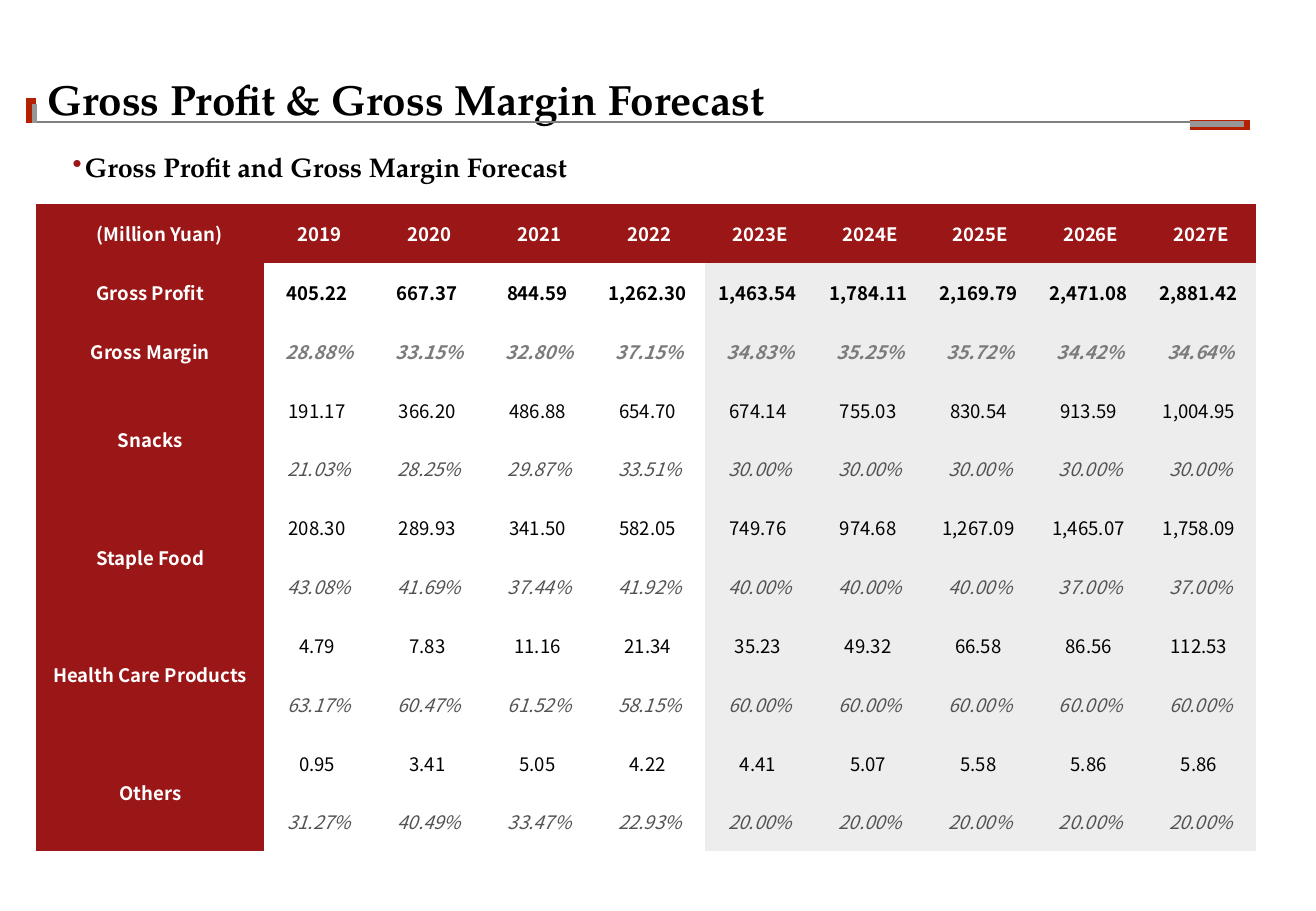
from lxml import etree
from pptx import Presentation
from pptx.dml.color import RGBColor
from pptx.enum.shapes import MSO_CONNECTOR
from pptx.enum.text import MSO_ANCHOR, MSO_AUTO_SIZE, PP_ALIGN
from pptx.oxml.ns import qn
from pptx.util import Inches, Pt

STRAIGHT = MSO_CONNECTOR.STRAIGHT
MIDDLE, TOP = MSO_ANCHOR.MIDDLE, MSO_ANCHOR.TOP
LEFT, CENTER = PP_ALIGN.LEFT, PP_ALIGN.CENTER
NO_AUTOFIT = MSO_AUTO_SIZE.NONE

COLORS = {
    "black": "000000", "white": "FFFFFF", "crimson": "9B1717",
    "accent": "B42100", "rule": "808080", "gray": "969696",
    "forecast": "EDEDED", "total margin": "7B7B7B", "margin": "525252",
}
SERIF, SANS = "TeX Gyre Pagella", "Noto Sans CJK SC"
NO_STYLE_NO_GRID = "{2D5ABB26-0587-4C30-8999-92F81FD0307C}"

YEARS = ["2019", "2020", "2021", "2022",
         "2023E", "2024E", "2025E", "2026E", "2027E"]
ACTUAL_YEARS = 4
TOTAL_PROFIT = [405.22, 667.37, 844.59, 1262.30, 1463.54,
                1784.11, 2169.79, 2471.08, 2881.42]
TOTAL_MARGIN = [28.88, 33.15, 32.80, 37.15, 34.83, 35.25, 35.72, 34.42, 34.64]
SEGMENTS = {
    "Snacks": (
        [191.17, 366.20, 486.88, 654.70, 674.14, 755.03, 830.54, 913.59, 1004.95],
        [21.03, 28.25, 29.87, 33.51, 30, 30, 30, 30, 30]),
    "Staple Food": (
        [208.30, 289.93, 341.50, 582.05, 749.76, 974.68, 1267.09, 1465.07, 1758.09],
        [43.08, 41.69, 37.44, 41.92, 40, 40, 40, 37, 37]),
    "Health Care Products": (
        [4.79, 7.83, 11.16, 21.34, 35.23, 49.32, 66.58, 86.56, 112.53],
        [63.17, 60.47, 61.52, 58.15, 60, 60, 60, 60, 60]),
    "Others": (
        [0.95, 3.41, 5.05, 4.22, 4.41, 5.07, 5.58, 5.86, 5.86],
        [31.27, 40.49, 33.47, 22.93, 20, 20, 20, 20, 20]),
}
AMOUNT, PERCENT = "{:,.2f} ", "{:.2f}%"

# Left, top, right, bottom in percent of the slide; then colour and points
HEADER_LINES = [
    (2.77, 13.37, 90.4, 13.37, "rule", 1),
    (2.38, 13.47, 2.38, 10.8, "accent", 6),
    (2.61, 13.47, 2.61, 11.47, "gray", 3),
    (90.4, 13.73, 95.01, 13.73, "accent", 5.5),
    (90.4, 13.6, 94.55, 13.6, "gray", 3.38),
]


class ForecastPage:
    """Draws on one slide; lengths are percentages of its width and height."""

    def __init__(self, deck):
        self.deck = deck
        self.page = deck.slides.add_slide(deck.slide_layouts[5])

    def across(self, share):
        return round(self.deck.slide_width * share / 100)

    def down(self, share):
        return round(self.deck.slide_height * share / 100)

    def area(self, left, top, width, height):
        return (self.across(left), self.down(top),
                self.across(width), self.down(height))

    def style(self, para, font, size, color, bold=True, italic=False, align=LEFT):
        para.alignment = align
        for span in para.runs:
            span.font.name, span.font.size = font, Pt(size)
            span.font.bold, span.font.italic = bold, italic
            span.font.color.rgb = RGBColor.from_string(COLORS[color])

    def line(self, left, top, right, bottom, color, points):
        line = self.page.shapes.add_connector(
            STRAIGHT, self.across(left), self.down(top),
            self.across(right), self.down(bottom))
        line.line.color.rgb = RGBColor.from_string(COLORS[color])
        line.line.width = Pt(points)
        etree.SubElement(line.element.spPr, qn("a:effectLst"))

    def title(self, text, *area):
        box = self.page.shapes.title
        box.left, box.top, box.width, box.height = self.area(*area)
        frame = box.text_frame
        frame.text = text
        frame.auto_size, frame.vertical_anchor = NO_AUTOFIT, MIDDLE
        frame.margin_left = frame.margin_right = 0
        frame.margin_top = frame.margin_bottom = 0
        self.style(frame.paragraphs[0], SERIF, 25, "black")

    def bullet(self, text, *area):
        frame = self.page.shapes.add_textbox(*self.area(*area)).text_frame
        frame.word_wrap, frame.vertical_anchor = True, TOP
        frame.text = text
        para = frame.paragraphs[0]
        para.level = 1
        properties = para._p.get_or_add_pPr()
        properties.set("marL", str(Inches(0.69)))
        properties.set("indent", str(Inches(-0.1)))
        color = etree.SubElement(properties, qn("a:buClr"))
        etree.SubElement(color, qn("a:srgbClr"), val=COLORS["crimson"])
        etree.SubElement(properties, qn("a:buChar"), char="•")
        self.style(para, SERIF, 16, "black")

    def table(self, rows, columns, label_width, *area):
        """Add an unstyled grid whose columns after the first are equal."""
        frame = self.page.shapes.add_table(rows, columns, *self.area(*area))
        for style_id in frame.element.iter(qn("a:tableStyleId")):
            style_id.text = NO_STYLE_NO_GRID
        table = frame.table
        table.first_row = table.horz_banding = False
        year_width = (area[2] - label_width) / (columns - 1)
        for index, column in enumerate(table.columns):
            column.width = self.across(year_width if index else label_width)
        return table

    def cell(self, cell, text, color, fill=None, bold=True, italic=False):
        cell.text = text
        cell.vertical_anchor = MIDDLE
        cell.margin_left = cell.margin_right = 0
        cell.margin_top = cell.margin_bottom = 0
        if fill:
            cell.fill.solid()
            cell.fill.fore_color.rgb = RGBColor.from_string(COLORS[fill])
        else:
            cell.fill.background()
        self.style(cell.text_frame.paragraphs[0], SANS, 11, color,
                   bold, italic, CENTER)

    def heading(self, cell, text):
        self.cell(cell, text, "white", "crimson")

    def values(self, table, row, numbers, pattern, color, bold=False):
        for index, number in enumerate(numbers):
            fill = "forecast" if index >= ACTUAL_YEARS else None
            self.cell(table.cell(row, index + 1), pattern.format(number),
                      color, fill, bold, italic=pattern == PERCENT)


def main():
    deck = Presentation()
    deck.slide_width, deck.slide_height = Inches(10.83), Inches(7.5)
    page = ForecastPage(deck)
    for line in HEADER_LINES:
        page.line(*line)
    page.title("Gross Profit & Gross Margin Forecast", 3.6, 8, 94.55, 5.6)
    page.bullet("Gross Profit and Gross Margin Forecast", -0.83, 15.87, 49.95, 4.93)

    table = page.table(3 + 2 * len(SEGMENTS), 1 + len(YEARS), 17.3,
                       2.77, 22.4, 92.7, 71.07)
    for column, text in enumerate(["　(Million Yuan)"] + YEARS):
        page.heading(table.cell(0, column), text)
    page.heading(table.cell(1, 0), "Gross Profit")
    page.values(table, 1, TOTAL_PROFIT, AMOUNT, "black", bold=True)
    page.heading(table.cell(2, 0), "Gross Margin")
    page.values(table, 2, TOTAL_MARGIN, PERCENT, "total margin", bold=True)
    for index, (segment, (profit, margin)) in enumerate(SEGMENTS.items()):
        row = 3 + 2 * index
        table.cell(row, 0).merge(table.cell(row + 1, 0))
        page.heading(table.cell(row, 0), segment)
        page.values(table, row, profit, AMOUNT, "black")
        page.values(table, row + 1, margin, PERCENT, "margin")
    deck.save("out.pptx")


if __name__ == "__main__":
    main()
